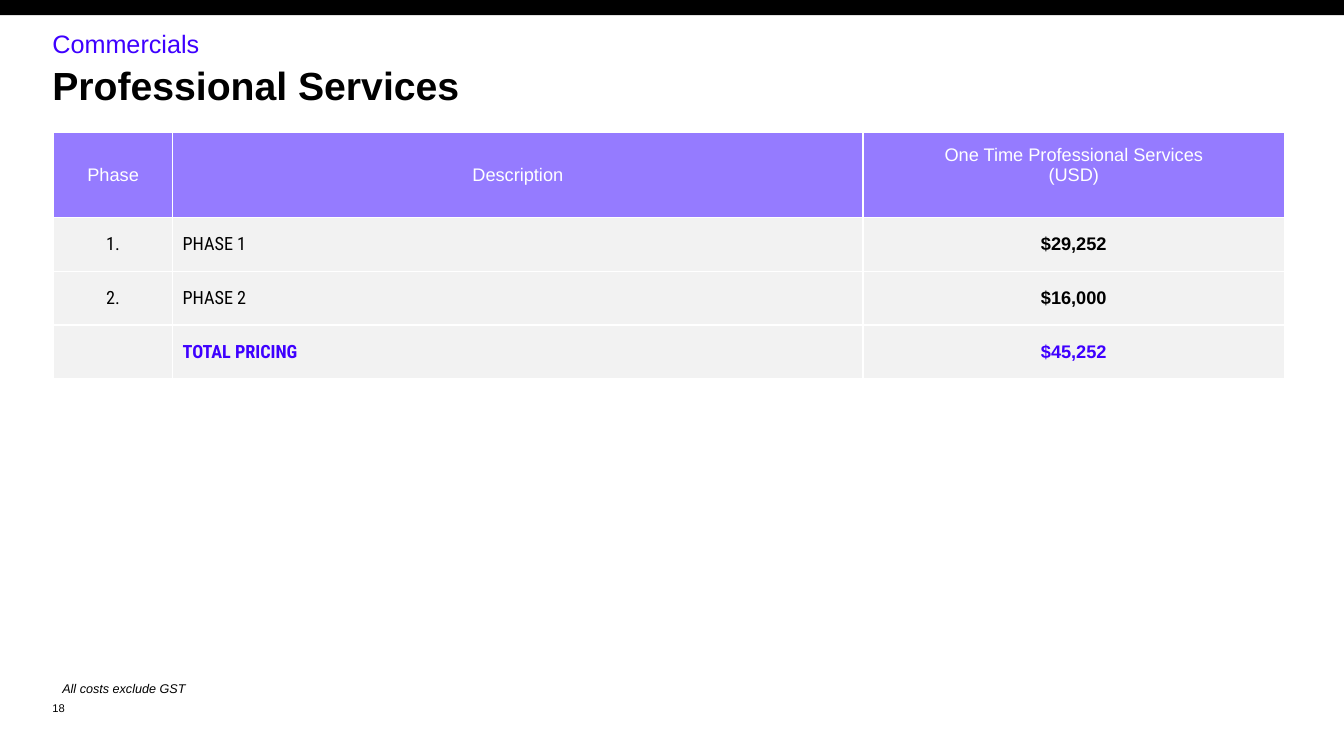
from dataclasses import dataclass

from lxml import etree
from pptx import Presentation
from pptx.dml.color import RGBColor
from pptx.enum.shapes import MSO_SHAPE
from pptx.enum.text import MSO_ANCHOR, PP_ALIGN
from pptx.oxml.ns import qn
from pptx.util import Cm, Pt

RECT = MSO_SHAPE.RECTANGLE
TOP, MIDDLE = MSO_ANCHOR.TOP, MSO_ANCHOR.MIDDLE
LEFT, CENTER = PP_ALIGN.LEFT, PP_ALIGN.CENTER


@dataclass(frozen=True)
class Theme:
    black: str = "000000"
    white: str = "FFFFFF"
    accent: str = "3E00FF"
    header: str = "957BFF"
    row: str = "F2F2F2"
    font: str = "Arial"
    condensed: str = "Roboto Condensed"
    title: int = 28
    kicker: int = 18
    table: int = 13
    note: int = 9
    number: int = 8


T = Theme()
WIDTH, HEIGHT = 33.87, 19.05
MARGIN = 1.32
COLUMNS = (3.0, 17.4, 10.62)
HEADER_HEIGHT, ROW_HEIGHT = 2.16, 1.35
HEADERS = ("Phase", "Description", "One Time Professional Services\n(USD)")
PRICES = (
    ("1.", "PHASE 1", "$29,252"),
    ("2.", "PHASE 2", "$16,000"),
    ("", "TOTAL PRICING", "$45,252"),
)


def style(p, size, color=T.black, name=T.font, para=None, **font):
    for key, value in (para or {}).items():
        setattr(p, key, value)
    for r in p.runs:
        for key, value in {"size": Pt(size), "name": name, **font}.items():
            setattr(r.font, key, value)
        r.font.color.rgb = RGBColor.from_string(color)


def add_text(slide, box, text, size, inset=0, anchor=TOP, wrap=True, **fmt):
    sp = slide.shapes.add_textbox(*map(Cm, box))
    tf = sp.text_frame
    tf.word_wrap = wrap
    tf.vertical_anchor = anchor
    tf.margin_left = tf.margin_right = Cm(inset)
    tf.margin_top = tf.margin_bottom = Cm(inset / 2)
    tf.text = text
    style(tf.paragraphs[0], size, **fmt)


def add_heading(slide, box):
    x, y, w, h = box
    bar = slide.shapes.add_shape(RECT, 0, 0, Cm(WIDTH), Cm(0.38))
    bar.shadow.inherit = False
    bar.fill.solid()
    bar.fill.fore_color.rgb = RGBColor.from_string(T.black)
    bar.line.fill.background()
    add_text(slide, (x, y, w, 0.84), "Commercials", T.kicker, color=T.accent,
             para={"space_after": Pt(18)})
    add_text(slide, (x, y + 0.97, w, h - 0.97), "Professional Services", T.title,
             bold=True, para={"line_spacing": 0.9})


def set_borders(cell):
    tcPr = cell._tc.get_or_add_tcPr()
    for i, side in enumerate(("lnL", "lnR", "lnT", "lnB")):
        ln = etree.Element(qn(f"a:{side}"), w=str(Pt(1)))
        fill = etree.SubElement(ln, qn("a:solidFill"))
        etree.SubElement(fill, qn("a:srgbClr"), val=T.white)
        tcPr.insert(i, ln)


def fill_cell(cell, text, fill, align, **fmt):
    cell.text = text
    cell.vertical_anchor = MIDDLE
    cell.fill.solid()
    cell.fill.fore_color.rgb = RGBColor.from_string(fill)
    set_borders(cell)
    for p in cell.text_frame.paragraphs:
        style(p, T.table, para={"alignment": align}, **fmt)


def add_prices(slide, box):
    table = slide.shapes.add_table(len(PRICES) + 1, len(COLUMNS), *map(Cm, box)).table
    table.first_row = table.horz_banding = False
    for column, width in zip(table.columns, COLUMNS):
        column.width = Cm(width)
    for i, row in enumerate(table.rows):
        row.height = Cm(ROW_HEIGHT if i else HEADER_HEIGHT)
    for j, text in enumerate(HEADERS):
        fill_cell(table.cell(0, j), text, T.header, CENTER, color=T.white)
    table.cell(0, 2).margin_bottom = Cm(0.64)
    for i, values in enumerate(PRICES, 1):
        total = i == len(PRICES)
        for j, text in enumerate(values):
            price = j == 2
            fill_cell(table.cell(i, j), text, T.row, LEFT if j == 1 else CENTER,
                      color=T.accent if total else T.black,
                      name=T.font if price else T.condensed,
                      bold=price or total)


def add_footer(slide, box):
    x, y, w, h = box
    add_text(slide, (x, y, w, 0.64), "All costs exclude GST", T.note, inset=0.25,
             italic=True, para={"space_after": Pt(6)})
    add_text(slide, (x, y + 0.56, 0.48, h - 0.56), "18", T.number,
             anchor=MIDDLE, wrap=False)


def main():
    prs = Presentation()
    prs.slide_width, prs.slide_height = Cm(WIDTH), Cm(HEIGHT)
    slide = prs.slides.add_slide(prs.slide_layouts[6])
    add_heading(slide, (MARGIN, 0.71, 31.19, 3.05))
    add_prices(slide, (1.35, 3.33, sum(COLUMNS), HEADER_HEIGHT + ROW_HEIGHT * len(PRICES)))
    add_footer(slide, (MARGIN, 17.04, 30.84, 1.04))
    prs.save("out.pptx")


if __name__ == "__main__":
    main()
